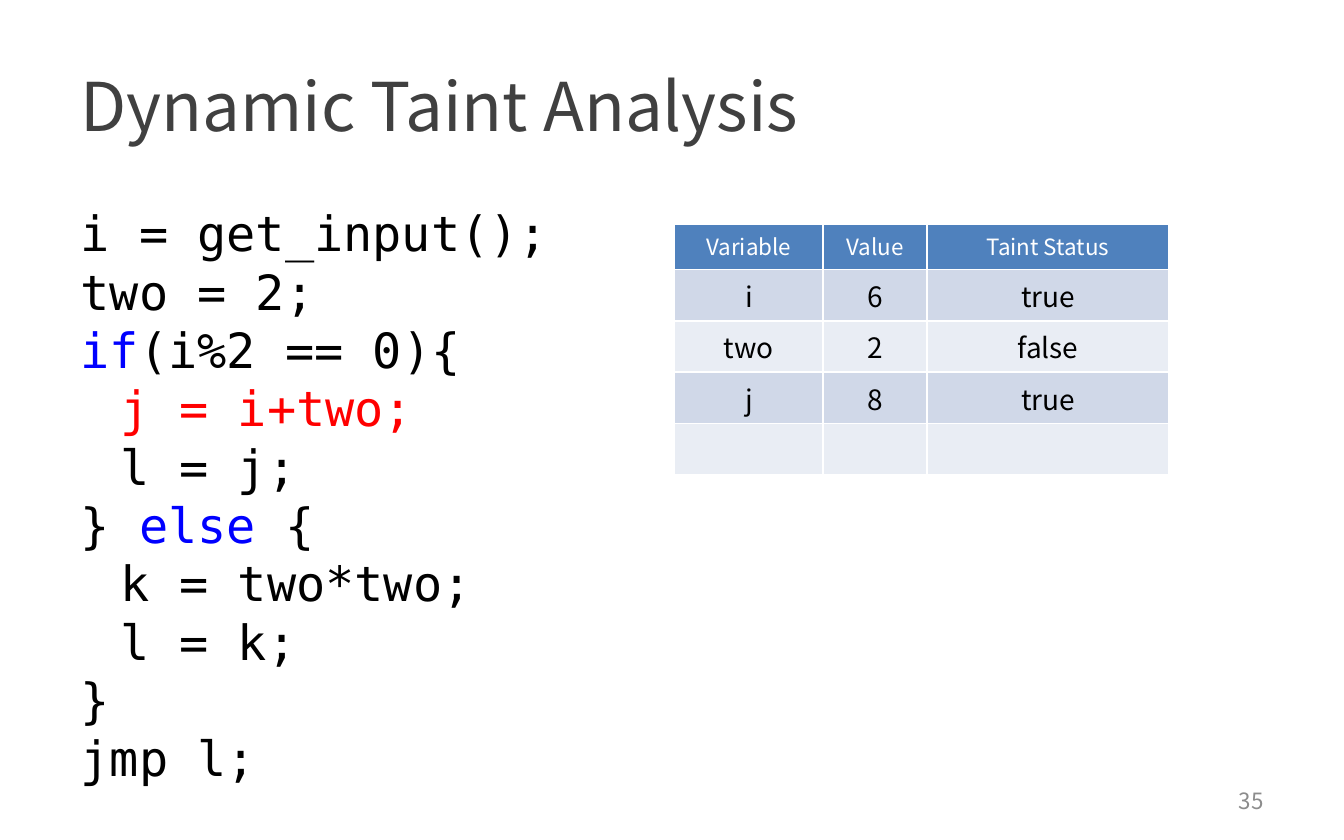
from dataclasses import dataclass

from lxml import etree
from pptx import Presentation
from pptx import util as u
from pptx.dml.color import RGBColor
from pptx.enum import text
from pptx.oxml.ns import qn

WIDTH, HEIGHT = 10, 6.25
SANS, MONO = "Noto Sans CJK SC", "DejaVu Sans Mono"
BLACK, BLUE, RED, WHITE = "000000", "0000FF", "FF0000", "FFFFFF"
HEADER_FILL, BANDS = "4F81BD", ("D0D8E8", "E9EDF4")


@dataclass
class Area:
    left: float
    top: float
    width: float
    height: float

    def lengths(self) -> tuple:
        return tuple(u.Inches(n) for n in (
            self.left * WIDTH, self.top * HEIGHT,
            self.width * WIDTH, self.height * HEIGHT))


@dataclass
class CodeLine:
    tokens: tuple
    level: int = 0


CODE = (
    CodeLine((("i = get_input();", BLACK),)),
    CodeLine((("two = 2;", BLACK),)),
    CodeLine((("if", BLUE), ("(i%2 == 0){", BLACK))),
    CodeLine((("j = i+two;", RED),), 1),
    CodeLine((("l = j;", BLACK),), 1),
    CodeLine((("} ", BLACK), ("else", BLUE), (" {", BLACK))),
    CodeLine((("k = two*two;", BLACK),), 1),
    CodeLine((("l = k;", BLACK),), 1),
    CodeLine((("}", BLACK),)),
    CodeLine((("jmp l;", BLACK),)),
)
TAINT = (
    ("Variable", "Value", "Taint Status"),
    ("i", "6", "true"),
    ("two", "2", "false"),
    ("j", "8", "true"),
    ("", "", ""),
)
COLUMN_SHARES = (0.3, 0.21, 0.49)


def colour(hex_string: str) -> RGBColor:
    return RGBColor.from_string(hex_string)


def style(run, face: str, size: float, ink: str) -> None:
    run.font.name, run.font.size, run.font.bold = face, u.Pt(size), False
    run.font.color.rgb = colour(ink)


def place(shape, area: Area) -> None:
    shape.left, shape.top, shape.width, shape.height = area.lengths()


def write(frame, words: str, size: float, ink: str, align) -> None:
    frame.text = words
    line = frame.paragraphs[0]
    line.alignment = align
    for run in line.runs:
        style(run, SANS, size, ink)


def write_code(frame, lines: tuple) -> None:
    frame.auto_size = text.MSO_AUTO_SIZE.NONE
    for number, code in enumerate(lines):
        line = frame.add_paragraph() if number else frame.paragraphs[0]
        line.level = code.level
        properties = line._p.get_or_add_pPr()
        properties.set("marL", str(u.Inches(0.3 * code.level)))
        properties.set("indent", "0")
        etree.SubElement(properties, qn("a:buNone"))
        line.space_before = u.Pt(0)
        line.line_spacing = u.Pt(31.25)
        for words, ink in code.tokens:
            run = line.add_run()
            run.text = words
            style(run, MONO, 26, ink)


def draw_table(slide, area: Area, rows: tuple) -> None:
    table = slide.shapes.add_table(
        len(rows), len(COLUMN_SHARES), *area.lengths()).table
    for column, share in zip(table.columns, COLUMN_SHARES):
        column.width = u.Inches(area.width * WIDTH * share)
    for r, row in enumerate(rows):
        fill, size, ink = ((BANDS[(r - 1) % 2], 15, BLACK) if r
                           else (HEADER_FILL, 12, WHITE))
        for c, words in enumerate(row):
            cell = table.cell(r, c)
            cell.margin_top = cell.margin_bottom = u.Inches(0.04)
            cell.fill.solid()
            cell.fill.fore_color.rgb = colour(fill)
            write(cell.text_frame, words, size, ink, text.PP_ALIGN.CENTER)


def main() -> None:
    deck = Presentation()
    deck.slide_width, deck.slide_height = u.Inches(WIDTH), u.Inches(HEIGHT)
    slide = deck.slides.add_slide(deck.slide_layouts[1])

    title, listing = slide.placeholders
    place(title, Area(0.05, 0.04, 0.9, 0.17))
    title.text_frame.vertical_anchor = text.MSO_ANCHOR.MIDDLE
    write(title.text_frame, "Dynamic Taint Analysis", 36, "404040",
          text.PP_ALIGN.LEFT)

    place(listing, Area(0.05, 0.234, 0.442, 0.66))
    write_code(listing.text_frame, CODE)

    draw_table(slide, Area(0.502, 0.267, 0.368, 0.27), TAINT)

    page = slide.shapes.add_textbox(
        *Area(0.717, 0.926, 0.233, 0.053).lengths())
    page.text_frame.word_wrap = True
    page.text_frame.vertical_anchor = text.MSO_ANCHOR.MIDDLE
    write(page.text_frame, "35", 12, "8C8C8C", text.PP_ALIGN.RIGHT)

    deck.save("out.pptx")


if __name__ == "__main__":
    main()
